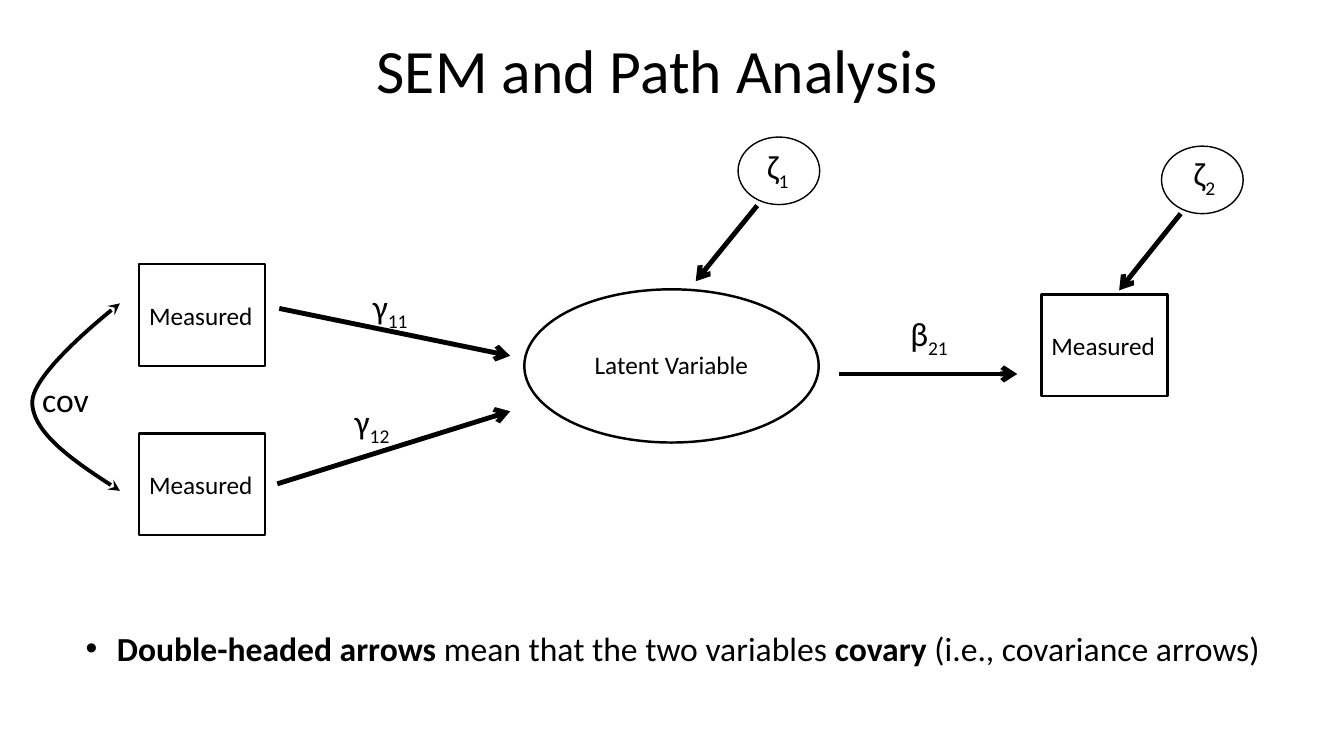
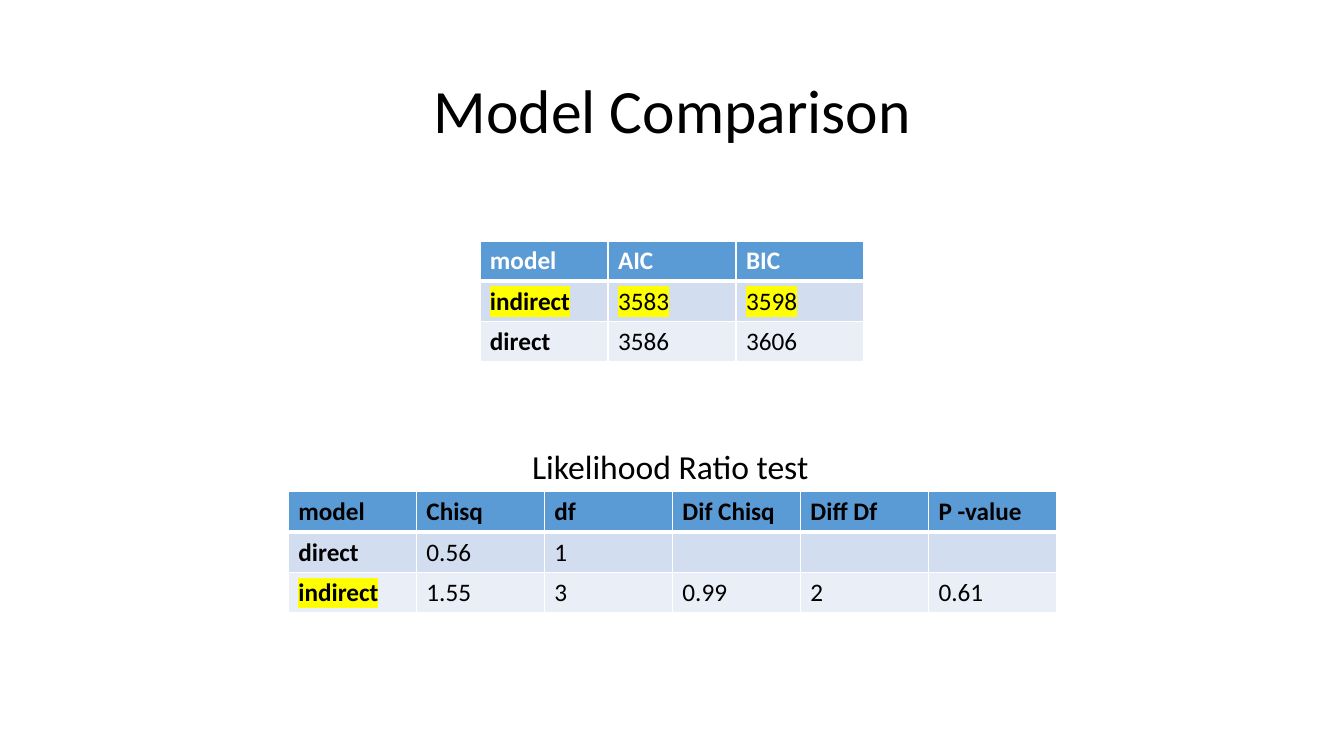
from pptx import Presentation
from pptx.dml.color import RGBColor
from pptx.enum.shapes import MSO_CONNECTOR, MSO_SHAPE
from pptx.enum.text import MSO_ANCHOR, MSO_AUTO_SIZE, PP_ALIGN
from pptx.oxml.ns import qn
from pptx.util import Inches, Pt
from lxml.etree import SubElement

BLACK, WHITE, YELLOW = "000000", "FFFFFF", "FFFF00"
BAND_FILLS = ["5B9BD5", "D2DEEF", "EAEFF7"]
FONT = "Calibri"


def paint(fill, color):
    """Make the fill of a shape, line, cell or font solid."""
    fill.solid()
    fill.fore_color.rgb = RGBColor.from_string(color)


def write(paragraph, text, size=24, color=BLACK, bold=False, subscript=False, highlight=None):
    """Append one formatted run to a paragraph."""
    run = paragraph.add_run()
    run.text = text
    run.font.size, run.font.bold, run.font.name = Pt(size), bold, FONT
    paint(run.font.fill, color)
    props = run.font._element
    if subscript:
        props.set("baseline", "-25000")
    if highlight:
        marker = SubElement(props, qn("a:highlight"))
        SubElement(marker, qn("a:srgbClr"), val=highlight)
        props.find(qn("a:solidFill")).addnext(marker)


prs = Presentation()
prs.slide_width, prs.slide_height = Inches(13.33), Inches(7.5)
# Fine grid shared by both slides
COL, ROW = prs.slide_width // 1333, prs.slide_height // 750

# Titles: layout, text, left column, top row
slides = []
for layout, heading, left, top in [
    (1, "SEM and Path Analysis", 77, 0),
    (5, "Model Comparison", 92, 40),
]:
    slide = prs.slides.add_slide(prs.slide_layouts[layout])
    title = slide.shapes.title
    title.left, title.top, title.width, title.height = left * COL, top * ROW, 1150 * COL, 145 * ROW
    title.text_frame.vertical_anchor = MSO_ANCHOR.MIDDLE
    title.text_frame.auto_size = MSO_AUTO_SIZE.NONE
    line = title.text_frame.paragraphs[0]
    line.alignment, line.line_spacing = PP_ALIGN.CENTER, 0.9
    write(line, heading, size=44)
    slides.append(slide)
path_slide, comparison_slide = slides

# Covariance statement in the body placeholder
statement = path_slide.placeholders[1]
statement.left, statement.top, statement.width, statement.height = 75 * COL, 618 * ROW, 1200 * COL, 50 * ROW
statement.text_frame.auto_size = MSO_AUTO_SIZE.NONE
line = statement.text_frame.paragraphs[0]
line.space_before = Pt(0)
line._p.get_or_add_pPr().set("marL", str(31 * COL))
line._p.get_or_add_pPr().set("indent", str(-31 * COL))
for words, bold in [
    ("Double-headed arrows ", True),
    ("mean that the two variables ", False),
    ("covary", True),
    (" (i.e., covariance arrows)", False),
]:
    write(line, words, bold=bold)

# Variables and disturbances: preset, left, top, width, height, line width, text
BOX, OVAL = MSO_SHAPE.RECTANGLE, MSO_SHAPE.OVAL
for preset, left, top, width, height, weight, words in [
    (BOX, 138, 262, 125, 101, 1.75, "Measured"),
    (BOX, 138, 430, 125, 101, 1.75, "Measured"),
    (BOX, 1033, 292, 125, 101, 1.75, "Measured"),
    (OVAL, 520, 287, 292, 152, 1.75, ""),
    (OVAL, 732, 136, 81, 67, 1, ""),
    (OVAL, 1152, 145, 81, 67, 1, ""),
]:
    node = path_slide.shapes.add_shape(preset, left * COL, top * ROW, width * COL, height * ROW)
    node.shadow.inherit = False
    node.fill.background()
    paint(node.line.fill, BLACK)
    node.line.width = Pt(weight)
    if words:
        node.text_frame.vertical_anchor = MSO_ANCHOR.MIDDLE
        line = node.text_frame.paragraphs[0]
        line.alignment = PP_ALIGN.LEFT
        write(line, words, size=18)

# One-way arrows: from column and row, to column and row
for x1, y1, x2, y2 in [
    (277, 306, 506, 353),
    (275, 480, 506, 408),
    (832, 371, 1009, 371),
    (751, 204, 690, 279),
    (1171, 212, 1110, 288),
]:
    effect = path_slide.shapes.add_connector(
        MSO_CONNECTOR.STRAIGHT, x1 * COL, y1 * ROW, x2 * COL, y2 * ROW)
    paint(effect.line.fill, BLACK)
    effect.line.width = Pt(3.5)
    SubElement(effect.line._get_or_add_ln(), qn("a:tailEnd"), type="arrow")
    SubElement(effect._element.spPr, qn("a:effectLst"))

# Double-headed covariance curve, traced along two cubic Béziers
STEPS = 24
curve = []
for bezier in [
    [(119, 487), (75, 459), (32, 430), (32, 399)],
    [(32, 399), (32, 368), (119, 301), (119, 301)],
]:
    for step in range(STEPS + 1):
        t = step / STEPS
        weights = [(1 - t) ** 3, 3 * t * (1 - t) ** 2, 3 * t ** 2 * (1 - t), t ** 3]
        curve.append((sum(w * x for w, (x, y) in zip(weights, bezier)) * COL,
                      sum(w * y for w, (x, y) in zip(weights, bezier)) * ROW))
outline = path_slide.shapes.build_freeform(*curve[0])
outline.add_line_segments(curve[1:], close=False)
covariance = outline.convert_to_shape()
covariance.shadow.inherit = False
covariance.fill.background()
paint(covariance.line.fill, BLACK)
covariance.line.width = Pt(2.75)
for end in ("a:headEnd", "a:tailEnd"):
    SubElement(covariance.line._get_or_add_ln(), qn(end), type="stealth")

# Labels: slide, left, top, width, height, size, text, subscript
for slide, left, top, width, height, size, words, index in [
    (path_slide, 580, 342, 174, 40, 18, "Latent Variable", ""),
    (path_slide, 360, 279, 63, 50, 24, "γ", "11"),
    (path_slide, 342, 393, 63, 50, 24, "γ", "12"),
    (path_slide, 893, 306, 61, 50, 24, "β", "21"),
    (path_slide, 751, 140, 43, 50, 24, "ζ", "1"),
    (path_slide, 1174, 147, 43, 50, 24, "ζ", "2"),
    (path_slide, 32, 371, 67, 50, 24, "cov", ""),
    (comparison_slide, 518, 437, 297, 50, 24, "Likelihood Ratio test", ""),
]:
    label = slide.shapes.add_textbox(left * COL, top * ROW, width * COL, height * ROW)
    label.text_frame.word_wrap = False
    label.text_frame.auto_size = MSO_AUTO_SIZE.SHAPE_TO_FIT_TEXT
    line = label.text_frame.paragraphs[0]
    write(line, words, size=size)
    if index:
        write(line, index, size=size, subscript=True)

# Tables: left, top, header colour, highlighted cells, rows
for left, top, header_color, highlights, rows in [
    (476, 239, WHITE, {(1, 0), (1, 1), (1, 2)}, [
        ["model", "AIC", "BIC"],
        ["indirect", "3583", "3598"],
        ["direct", "3586", "3606"],
    ]),
    (286, 488, BLACK, {(2, 0)}, [
        ["model", "Chisq", "df", "Dif Chisq", "Diff Df", "P -value"],
        ["direct", "0.56", "1", "", "", ""],
        ["indirect", "1.55", "3", "0.99", "2", "0.61"],
    ]),
]:
    columns = len(rows[0])
    grid = comparison_slide.shapes.add_table(
        len(rows), columns, left * COL, top * ROW, columns * 127 * COL, len(rows) * 40 * ROW).table
    for r, values in enumerate(rows):
        for c, value in enumerate(values):
            cell = grid.cell(r, c)
            # Borders come before the fill; the rule under the header is thicker
            props = cell._tc.get_or_add_tcPr()
            for side in "LRTB":
                under_header = (r, side) in [(0, "B"), (1, "T")]
                border = SubElement(props, qn(f"a:ln{side}"), w=str(Pt(3 if under_header else 1)))
                SubElement(SubElement(border, qn("a:solidFill")), qn("a:srgbClr"), val=WHITE)
            paint(cell.fill, BAND_FILLS[r])
            if value:
                write(cell.text_frame.paragraphs[0], value, size=18,
                      color=header_color if r == 0 else BLACK, bold=r == 0 or c == 0,
                      highlight=YELLOW if (r, c) in highlights else None)

prs.save("out.pptx")
